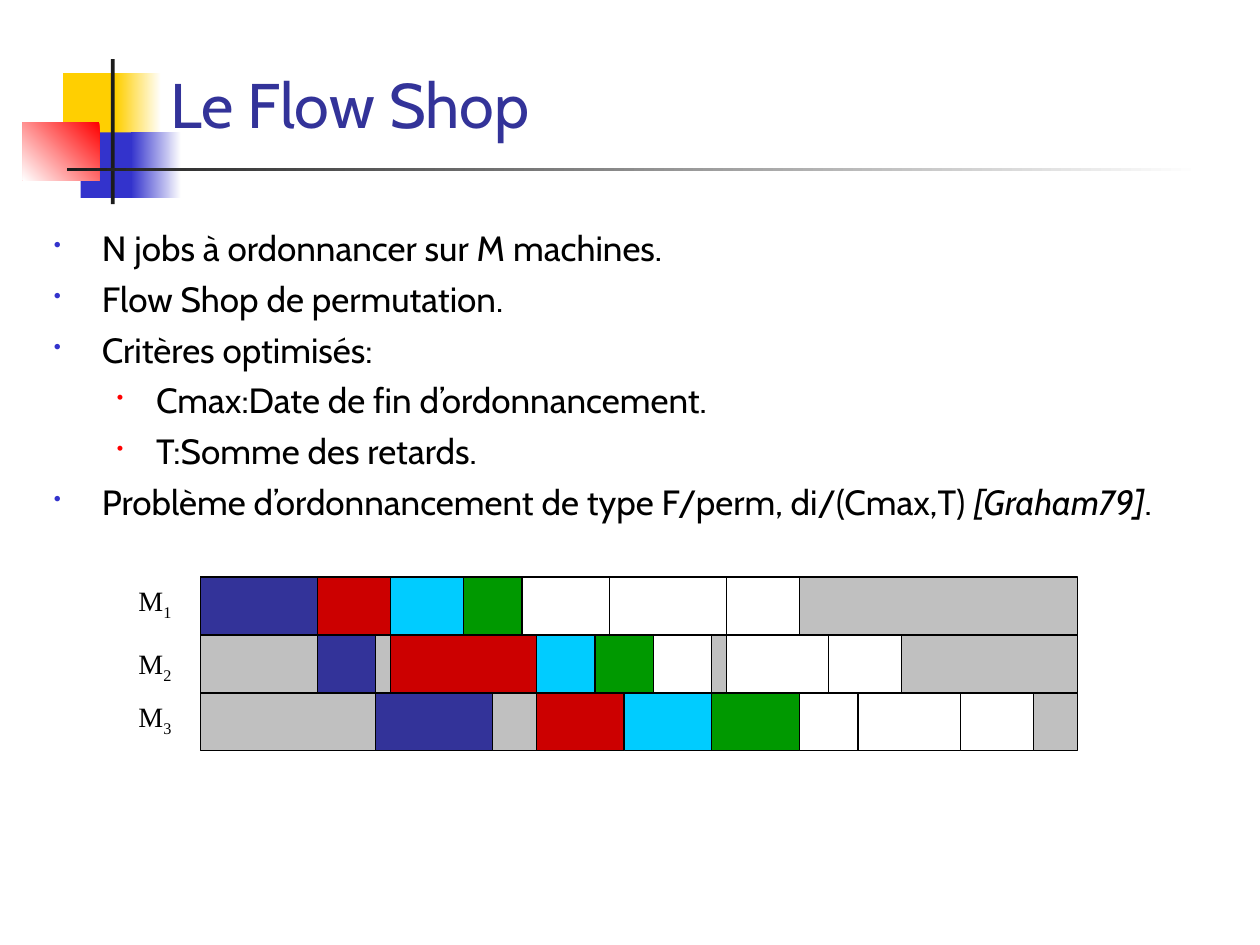
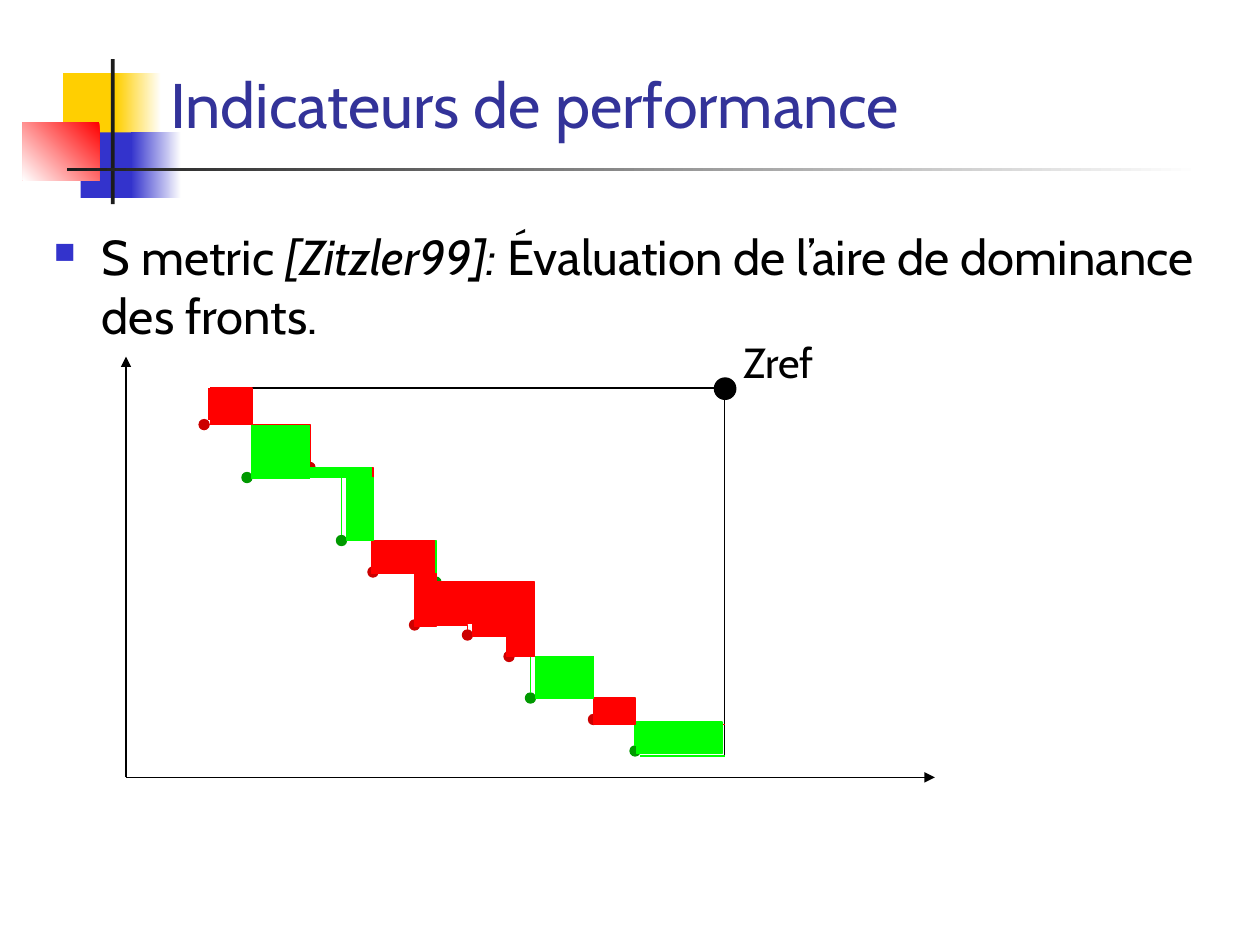
"""Build two slides on flow shop scheduling and on the S metric."""
from lxml.etree import SubElement
from pptx import Presentation
from pptx.dml.color import RGBColor
from pptx.enum.shapes import MSO_CONNECTOR, MSO_SHAPE
from pptx.enum.text import MSO_ANCHOR, MSO_AUTO_SIZE, PP_ALIGN
from pptx.oxml.ns import qn
from pptx.util import Inches, Pt

BLACK = RGBColor(0x00, 0x00, 0x00)
WHITE = RGBColor(0xFF, 0xFF, 0xFF)
INK = RGBColor(0x1C, 0x1C, 0x1C)
GREY = RGBColor(0xC0, 0xC0, 0xC0)
YELLOW = RGBColor(0xFF, 0xCF, 0x01)
BLUE = RGBColor(0x33, 0x33, 0xCC)
NAVY = RGBColor(0x33, 0x33, 0x99)
CYAN = RGBColor(0x00, 0xCC, 0xFF)
RED = RGBColor(0xFF, 0x00, 0x00)
DARK_RED = RGBColor(0xCC, 0x00, 0x00)
GREEN = RGBColor(0x00, 0xFF, 0x00)
DARK_GREEN = RGBColor(0x00, 0x99, 0x00)
FONT = "Cabin"

BANDS = [
    (0.5, 0.58, 0.48, 0.52, YELLOW, YELLOW, 180),
    (0.92, 0.58, 0.36, 0.52, WHITE, YELLOW, 180),
    (0.64, 1.05, 0.46, 0.52, BLUE, BLUE, 180),
    (1.04, 1.05, 0.4, 0.52, WHITE, BLUE, 180),
    (0.18, 0.97, 0.61, 0.46, RED, WHITE, 225),
    (0.88, 0.47, 0.03, 1.15, INK, INK, 180),
    (0.53, 1.33, 9, 0.03, WHITE, INK, 180),
]
LEVELS = [(0.38, -0.38, BLUE, 60), (0.81, -0.31, RED, 55)]
SLIDES = [
    ("Le Flow Shop", 20, 5, "•", 3.64, [
        (0, [("N jobs à ordonnancer sur M machines.", False)]),
        (0, [("Flow Shop de permutation.", False)]),
        (0, [("Critères optimisés:", False)]),
        (1, [("Cmax:Date de fin d’ordonnancement.", False)]),
        (1, [("T:Somme des retards.", False)]),
        (0, [("Problème d’ordonnancement de type F/perm, di/(Cmax,T) ", False),
             ("[Graham79]", True), (".", False)]),
    ]),
    ("Indicateurs de performance", 28, 7, "■", 4.96, [
        (0, [("S metric ", False), ("[Zitzler99]: ", True),
             ("Évaluation de l’aire de dominance des fronts.", False)]),
    ]),
]


def add_box(s, kind, x, y, w, h, color, edge):
    sp = s.shapes.add_shape(kind, Inches(x), Inches(y), Inches(w), Inches(h))
    sp.shadow.inherit = False
    sp.fill.solid()
    sp.fill.fore_color.rgb = color
    sp.line.color.rgb = edge
    sp.line.width = Pt(0.75)


def add_line(s, x1, y1, x2, y2, color, bent=False, arrow=False):
    kind = MSO_CONNECTOR.ELBOW if bent else MSO_CONNECTOR.STRAIGHT
    cxn = s.shapes.add_connector(kind, Inches(x1), Inches(y1), Inches(x2), Inches(y2))
    cxn.line.color.rgb = color
    cxn.line.width = Pt(0.75)
    sp_pr = cxn._element.spPr
    if bent:
        sp_pr.find(qn("a:prstGeom")).set("prst", "bentConnector2")
    if arrow:
        SubElement(sp_pr.find(qn("a:ln")), qn("a:tailEnd"), type="triangle")
    SubElement(sp_pr, qn("a:effectLst"))


prs = Presentation()
prs.slide_width = Inches(10)
prs.slide_height = Inches(7.5)

for title, size, before, bullet, height, body in SLIDES:
    s = prs.slides.add_slide(prs.slide_layouts[5])
    for x, y, w, h, start, end, angle in BANDS:
        sp = s.shapes.add_shape(MSO_SHAPE.RECTANGLE, Inches(x), Inches(y), Inches(w), Inches(h))
        sp.shadow.inherit = False
        sp.line.fill.background()
        if start == end:
            sp.fill.solid()
            sp.fill.fore_color.rgb = start
        else:
            sp.fill.gradient()
            sp.fill.gradient_angle = angle
            for stop, color in zip(sp.fill.gradient_stops, (start, end)):
                stop.color.rgb = color

    sp = s.shapes.title
    sp.left, sp.top, sp.width, sp.height = Inches(1.25), Inches(0.25), Inches(8.5), Inches(0.92)
    tf = sp.text_frame
    tf.text = title
    tf.auto_size = MSO_AUTO_SIZE.NONE
    tf.vertical_anchor = MSO_ANCHOR.BOTTOM
    p = tf.paragraphs[0]
    p.alignment = PP_ALIGN.LEFT
    font = p.runs[0].font
    font.name, font.size, font.color.rgb = FONT, Pt(36), NAVY

    tf = s.shapes.add_textbox(Inches(0.33), Inches(1.75), Inches(9.45), Inches(height)).text_frame
    tf.word_wrap = True
    for i, (level, runs) in enumerate(body):
        p = tf.add_paragraph() if i else tf.paragraphs[0]
        p.level = level
        p.space_before = Pt(before)
        margin, indent, color, percent = LEVELS[level]
        p_pr = p._p.get_or_add_pPr()
        p_pr.set("marL", str(Inches(margin)))
        p_pr.set("indent", str(Inches(indent)))
        SubElement(SubElement(p_pr, qn("a:buClr")), qn("a:srgbClr"), val=str(color))
        SubElement(p_pr, qn("a:buSzPct"), val=str(percent * 1000))
        SubElement(p_pr, qn("a:buChar"), char=bullet)
        for text, italic in runs:
            r = p.add_run()
            r.text = text
            r.font.name, r.font.size, r.font.italic = FONT, Pt(size), italic
            r.font.color.rgb = BLACK

flow_shop, indicators = prs.slides

GANTT_LEFT, GANTT_TOP, ROW, UNIT, HORIZON = 1.59, 4.58, 0.46, 0.116, 60
JOB_COLORS = [NAVY, DARK_RED, CYAN, DARK_GREEN, WHITE, WHITE, WHITE]
DURATIONS = [
    (8, 5, 5, 4, 6, 8, 5),
    (4, 10, 4, 4, 4, 7, 5),
    (8, 6, 6, 6, 4, 7, 5),
]
ready = [0] * len(JOB_COLORS)
for machine, (durations, label_top) in enumerate(zip(DURATIONS, (4.58, 5.08, 5.5))):
    top = GANTT_TOP + machine * ROW
    add_box(flow_shop, MSO_SHAPE.RECTANGLE, GANTT_LEFT, top, HORIZON * UNIT, ROW, GREY, BLACK)
    free = 0
    for job, duration in enumerate(durations):
        start = max(free, ready[job])
        free = ready[job] = start + duration
        add_box(flow_shop, MSO_SHAPE.RECTANGLE, GANTT_LEFT + start * UNIT, top,
                duration * UNIT, ROW, JOB_COLORS[job], BLACK)

    tf = flow_shop.shapes.add_textbox(Inches(1), Inches(label_top), Inches(0.71), Inches(ROW)).text_frame
    tf.word_wrap = True
    for text in ("M", str(machine + 1)):
        r = tf.paragraphs[0].add_run()
        r.text = text
        r.font.name, r.font.size, r.font.color.rgb = "Times New Roman", Pt(16), BLACK
    r.font._element.set("baseline", "-25000")

DOT, REF_X, REF_Y = 0.08, 5.75, 3.08
RED_FRONT = [(1.58, 3.33), (2.42, 3.67), (2.92, 4.5), (3.25, 4.92), (3.67, 5), (4, 5.17), (4.67, 5.67)]
GREEN_FRONT = [(1.92, 3.75), (2.67, 4.25), (3.42, 4.58), (4.17, 5.5), (5, 5.92)]
RED_AREAS = [
    (1.67, 3.08, 0.33, 0.29), (2.95, 4.29, 0.5, 0.26), (3.29, 4.55, 0.17, 0.42),
    (3.45, 4.62, 0.79, 0.33), (3.75, 4.88, 0.48, 0.17), (4.02, 4.8, 0.22, 0.41),
    (4.71, 5.54, 0.33, 0.21),
]
GREEN_AREAS = [
    (2, 3.38, 0.46, 0.42), (2.45, 3.71, 0.5, 0.08), (2.75, 3.79, 0.21, 0.5),
    (4.25, 5.21, 0.46, 0.33), (5.05, 5.73, 0.68, 0.25),
]
add_line(indicators, 1, 6.17, 1, 2.83, BLACK, arrow=True)
add_line(indicators, 1, 6.17, 7.42, 6.17, BLACK, arrow=True)
for front, color in ((RED_FRONT, DARK_RED), (GREEN_FRONT, DARK_GREEN)):
    for x, y in front:
        add_box(indicators, MSO_SHAPE.OVAL, x, y, DOT, DOT, color, color)
add_line(indicators, REF_X, REF_Y, 1.67, REF_Y, BLACK)
add_line(indicators, REF_X, REF_Y, REF_X, 6, BLACK)
for front, color in ((RED_FRONT, RED), (GREEN_FRONT, GREEN)):
    for (x1, y1), (x2, y2) in zip(front, front[1:]):
        add_line(indicators, x1 + DOT, y1 + DOT / 2, x2 + DOT / 2, y2, color, bent=True)
    (first_x, first_y), (last_x, last_y) = front[0], front[-1]
    add_line(indicators, first_x + DOT, first_y, first_x + DOT, REF_Y, color)
    add_line(indicators, last_x + DOT, last_y + DOT, REF_X, last_y + DOT, color)
for areas, color in ((RED_AREAS, RED), (GREEN_AREAS, GREEN)):
    for x, y, w, h in areas:
        add_box(indicators, MSO_SHAPE.RECTANGLE, x, y, w, h, color, color)

add_box(indicators, MSO_SHAPE.OVAL, 5.67, 3, 0.17, 0.17, BLACK, BLACK)
tf = indicators.shapes.add_textbox(Inches(5.8), Inches(2.62), Inches(0.83), Inches(0.5)).text_frame
tf.text = "Zref"
tf.word_wrap = False
font = tf.paragraphs[0].runs[0].font
font.name, font.size, font.color.rgb = FONT, Pt(24), BLACK

prs.save("out.pptx")
